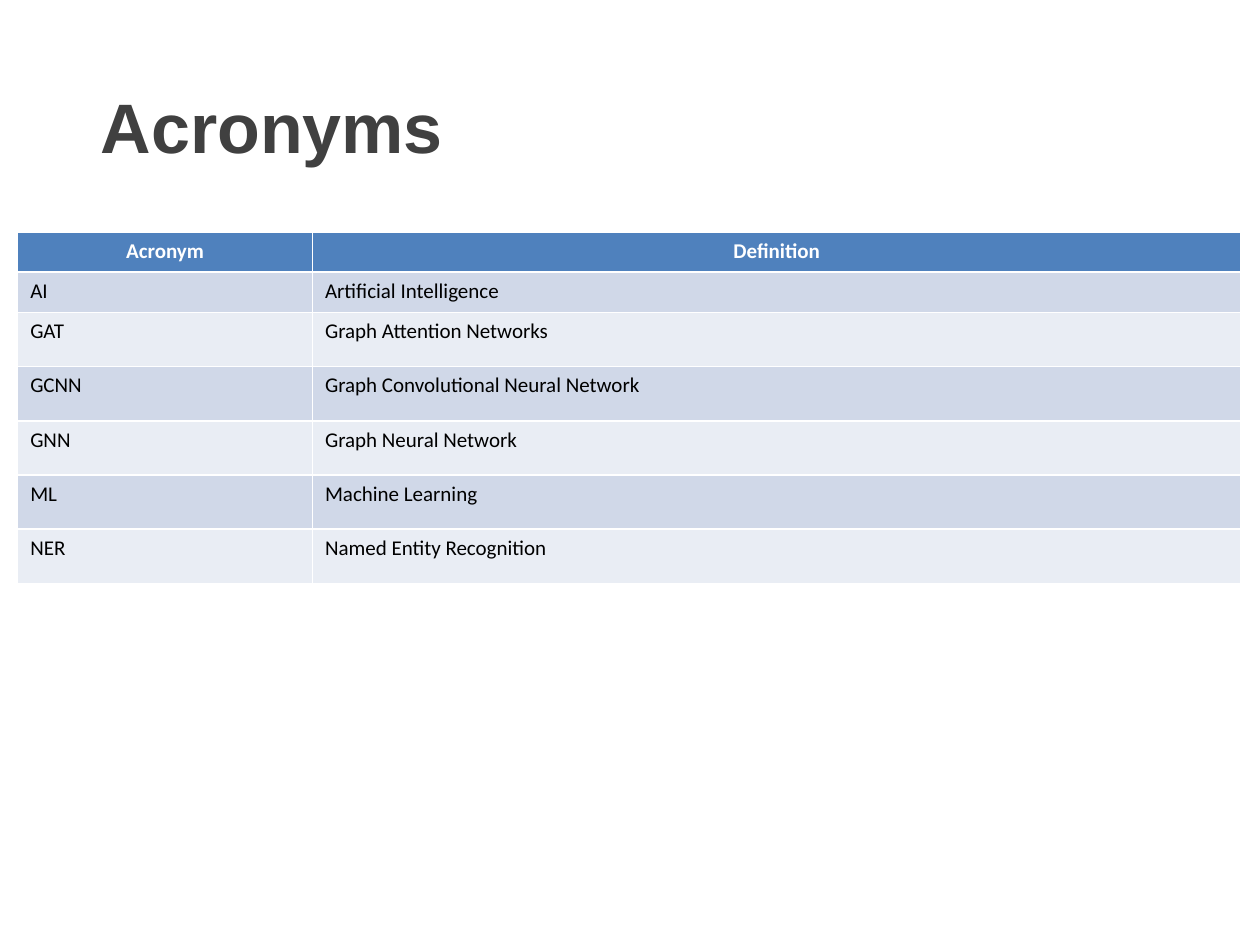
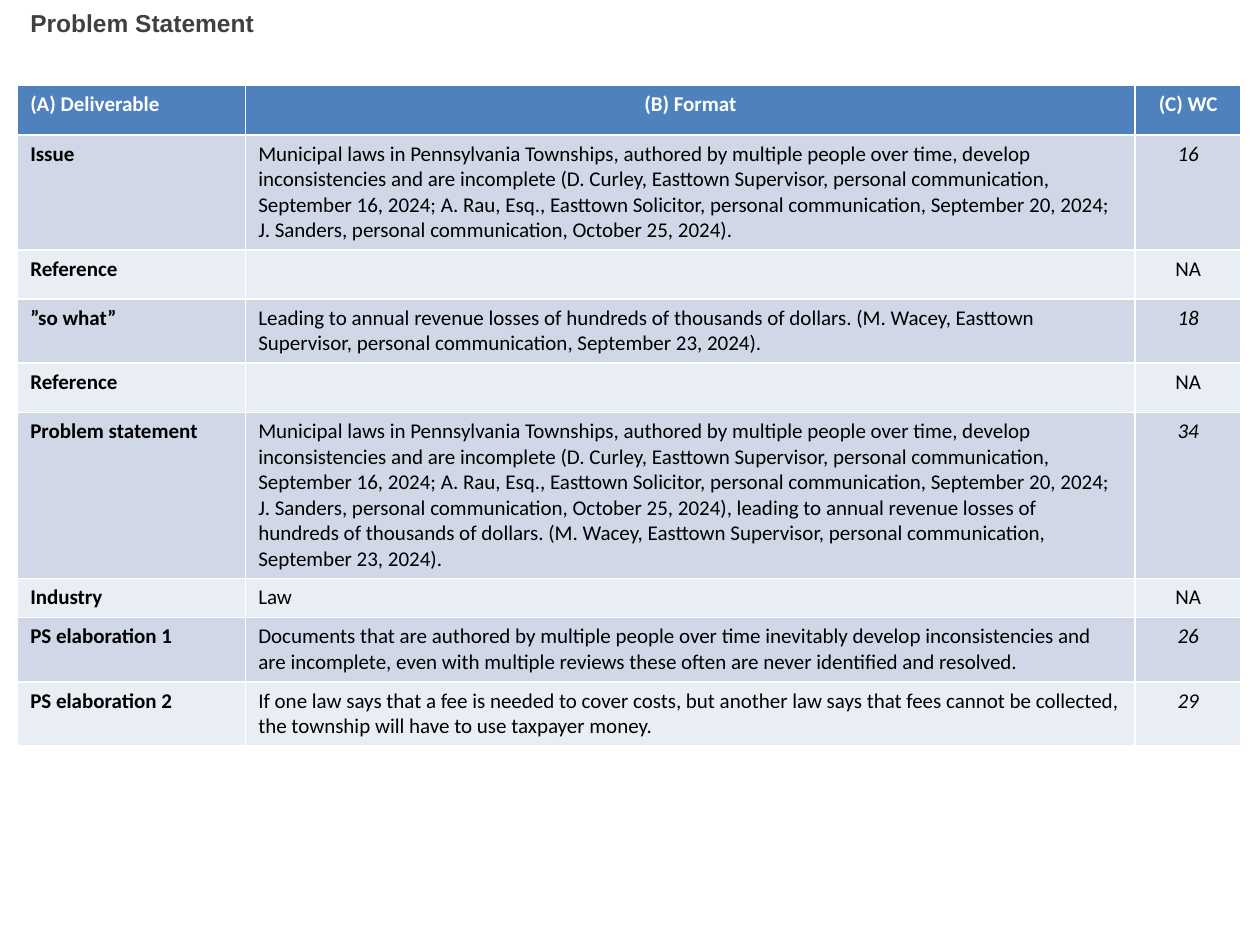
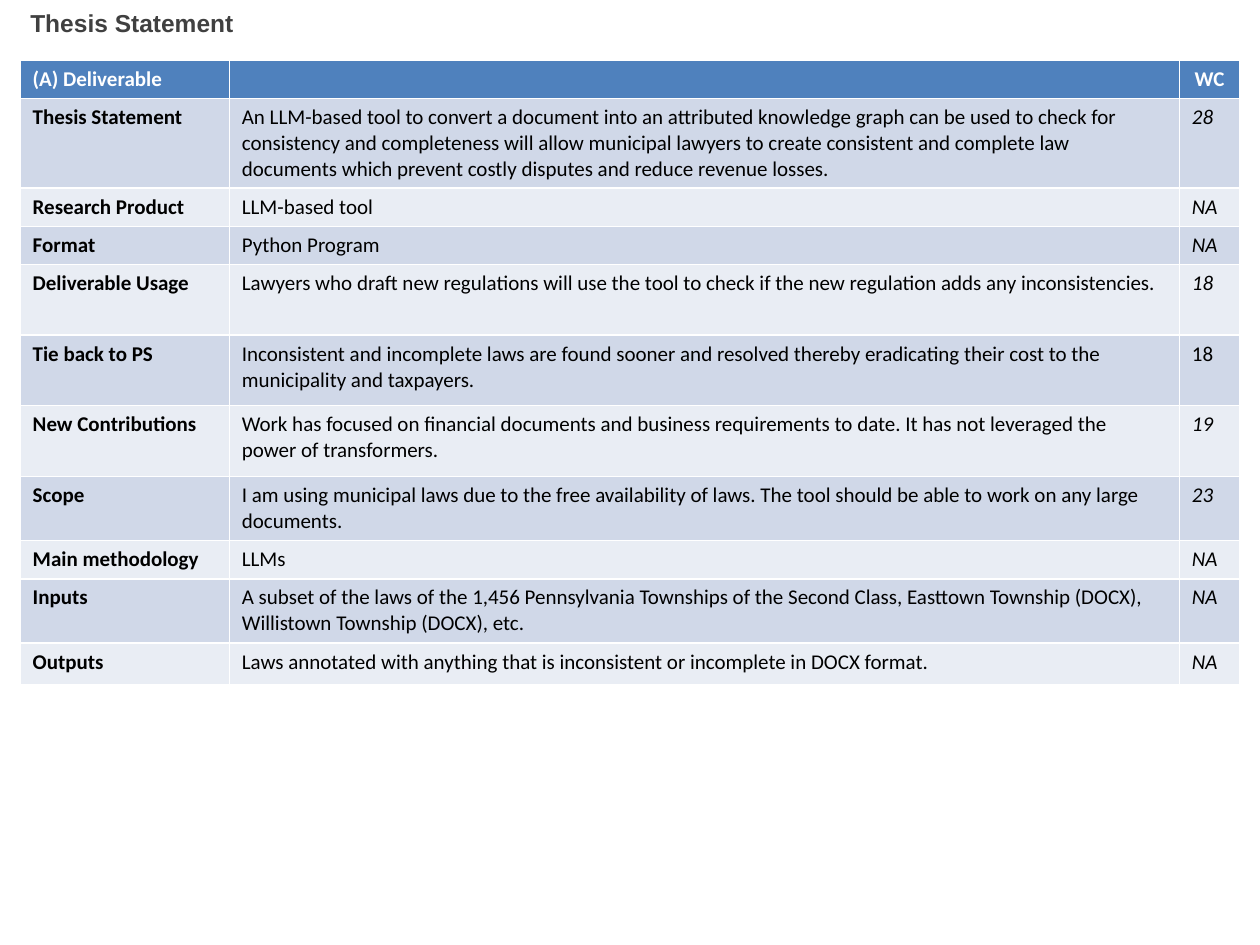
"""Build three thesis slides: acronyms, problem statement and thesis statement."""
from lxml import etree
from pptx import Presentation
from pptx.dml.color import RGBColor
from pptx.enum import text
from pptx.oxml import ns
from pptx.util import Inches, Pt

TITLE_GREY = RGBColor(0x40, 0x40, 0x40)
HEADER_BLUE = RGBColor(0x4F, 0x81, 0xBD)
BAND_DARK = RGBColor(0xD0, 0xD8, 0xE8)
BAND_LIGHT = RGBColor(0xE9, 0xED, 0xF4)
WHITE = RGBColor(0xFF, 0xFF, 0xFF)
BLACK = RGBColor(0x00, 0x00, 0x00)
LEFT = text.PP_ALIGN.LEFT
CENTER = text.PP_ALIGN.CENTER
TITLE_ONLY = 5
TABLE_SIZE = 12
SMALL_TITLE_BOX = (0.14, 0, 8.48, 0.68)

ISSUE = (
    "Municipal laws in Pennsylvania Townships, authored by multiple people over time, "
    "develop inconsistencies and are incomplete (D. Curley, Easttown Supervisor, personal "
    "communication, September 16, 2024; A. Rau, Esq., Easttown Solicitor, personal "
    "communication, September 20, 2024; J. Sanders, personal communication, October 25, 2024)"
)
LOSSES = (
    "eading to annual revenue losses of hundreds of thousands of dollars. (M. Wacey, Easttown "
    "Supervisor, personal communication, September 23, 2024)."
)

ACRONYM_ROWS = [
    (0.32, "Acronym", "Definition"),
    (0.32, "AI", "Artificial Intelligence"),
    (0.43, "GAT", "Graph Attention Networks"),
    (0.43, "GCNN", "Graph Convolutional Neural Network"),
    (0.43, "GNN", "Graph Neural Network"),
    (0.43, "ML", "Machine Learning"),
    (0.43, "NER", "Named Entity Recognition"),
]

PROBLEM_ROWS = [
    (0.39, "(A) Deliverable", "(B) Format", "(C) WC"),
    (0.91, "Issue", f"{ISSUE}.", "16"),
    (0.39, "Reference", "", "NA"),
    (0.51, "”so what”", f"L{LOSSES}", "18"),
    (0.39, "Reference", "", "NA"),
    (1.32, "Problem statement", f"{ISSUE}, l{LOSSES}", "34"),
    (0.31, "Industry", "Law", "NA"),
    (0.51, "PS elaboration 1",
     "Documents that are authored by multiple people over time inevitably develop "
     "inconsistencies and are incomplete, even with multiple reviews these often are never "
     "identified and resolved.", "26"),
    (0.51, "PS elaboration 2",
     "If one law says that a fee is needed to cover costs, but another law says that fees "
     "cannot be collected, the township will have to use taxpayer money.", "29"),
]

THESIS_ROWS = [
    (0.3, "(A) Deliverable", "", "WC"),
    (0.71, "Thesis Statement",
     "An LLM-based tool to convert a document into an attributed knowledge graph can be used "
     "to check for consistency and completeness will allow municipal lawyers to create "
     "consistent and complete law documents which prevent costly disputes and reduce revenue "
     "losses.", "28"),
    (0.3, "Research Product", "LLM-based tool", "NA"),
    (0.3, "Format", "Python Program", "NA"),
    (0.56, "Deliverable Usage",
     "Lawyers who draft new regulations will use the tool to check if the new regulation adds "
     "any inconsistencies.", "18"),
    (0.56, "Tie back to PS",
     "Inconsistent and incomplete laws are found sooner and resolved thereby eradicating "
     "their cost to the municipality and taxpayers.", "18"),
    (0.56, "New Contributions",
     "Work has focused on financial documents and business requirements to date. It has not "
     "leveraged the power of transformers.", "19"),
    (0.51, "Scope",
     "I am using municipal laws due to the free availability of laws. The tool should be able "
     "to work on any large documents.", "23"),
    (0.3, "Main methodology", "LLMs", "NA"),
    (0.51, "Inputs",
     "A subset of the laws of the 1,456 Pennsylvania Townships of the Second Class, Easttown "
     "Township (DOCX), Willistown Township (DOCX), etc.", "NA"),
    (0.33, "Outputs",
     "Laws annotated with anything that is inconsistent or incomplete in DOCX format.", "NA"),
]


def format_runs(para, font_name, size, color, bold=False, italic=False):
    """Give every run of a paragraph the same font."""
    for span in para.runs:
        span.font.name = font_name
        span.font.size = Pt(size)
        span.font.color.rgb = color
        span.font.bold = bold
        span.font.italic = italic


def add_titled_page(deck, title, box, size, top_inset):
    """Add a title-only slide and place its title."""
    page = deck.slides.add_slide(deck.slide_layouts[TITLE_ONLY])
    holder = page.shapes.title
    holder.left, holder.top, holder.width, holder.height = map(Inches, box)
    frame = holder.text_frame
    frame.text = title
    frame.word_wrap = True
    frame.auto_size = text.MSO_AUTO_SIZE.NONE
    frame.vertical_anchor = text.MSO_ANCHOR.TOP
    frame.margin_top = Inches(top_inset)
    para = frame.paragraphs[0]
    para.alignment = LEFT
    format_runs(para, "Arial", size, TITLE_GREY, bold=True)
    return page


def fill_cell(cell, value, fill, color, align, bold, italic):
    """Write one table cell; an empty one keeps the table's text size."""
    cell.fill.solid()
    cell.fill.fore_color.rgb = fill
    para = cell.text_frame.paragraphs[0]
    para.alignment = align
    if value:
        para.text = value
        format_runs(para, "Calibri", TABLE_SIZE, color, bold, italic)
    else:
        etree.SubElement(para._p, ns.qn("a:endParaRPr"), sz=str(TABLE_SIZE * 100))


def add_banded_table(page, left, top, widths, rows, header_aligns, body_aligns, upright=()):
    """Add a table; with a count column, labels are bold and counts italic."""
    height = sum(row[0] for row in rows)
    frame = page.shapes.add_table(len(rows), len(widths), Inches(left), Inches(top),
                                  Inches(sum(widths)), Inches(height))
    table = frame.table
    has_counts = len(widths) == 3
    for column, width in zip(table.columns, widths):
        column.width = Inches(width)
    for index, (row_height, *values) in enumerate(rows):
        table.rows[index].height = Inches(row_height)
        header = index == 0
        fill = HEADER_BLUE if header else BAND_DARK if index % 2 else BAND_LIGHT
        aligns = header_aligns if header else body_aligns
        for position, (value, align) in enumerate(zip(values, aligns)):
            bold = header or (has_counts and position == 0)
            italic = not header and position == 2 and index not in upright
            fill_cell(table.cell(index, position), value, fill,
                      WHITE if header else BLACK, align, bold, italic)


def main():
    """Build and save the deck."""
    deck = Presentation()
    deck.slide_width, deck.slide_height = Inches(10), Inches(7.5)

    acronyms = add_titled_page(deck, "Acronyms", (0.7, 0.55, 8.61, 1.15), 40, 0.11)
    add_banded_table(acronyms, 0.14, 1.84, (2.34, 7.37), ACRONYM_ROWS,
                     (CENTER, CENTER), (LEFT, LEFT))

    problem = add_titled_page(deck, "Problem Statement", SMALL_TITLE_BOX, 14, 0.06)
    add_banded_table(problem, 0.14, 0.68, (1.81, 7.06, 0.84), PROBLEM_ROWS,
                     (LEFT, CENTER, CENTER), (LEFT, LEFT, CENTER), upright=(2, 4, 6))

    thesis = add_titled_page(deck, "Thesis Statement", SMALL_TITLE_BOX, 14, 0.06)
    add_banded_table(thesis, 0.16, 0.48, (1.66, 7.54, 0.48), THESIS_ROWS,
                     (LEFT, LEFT, CENTER), (LEFT, LEFT, LEFT), upright=(5,))

    deck.save("out.pptx")


if __name__ == "__main__":
    main()
